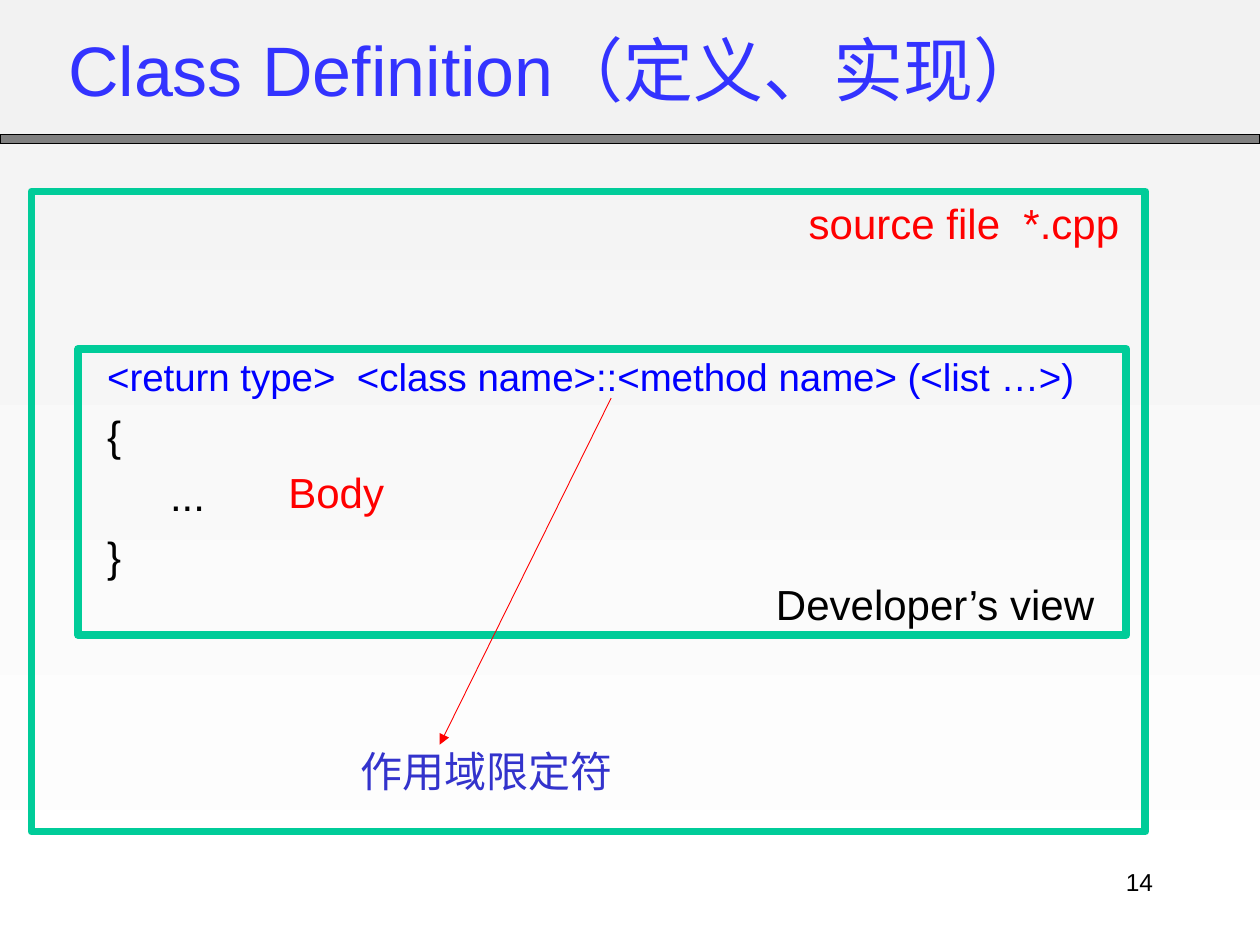
from pptx import Presentation
from pptx.dml.color import RGBColor
from pptx.enum.dml import MSO_LINE
from pptx.enum.shapes import MSO_CONNECTOR, MSO_SHAPE
from pptx.enum.text import MSO_ANCHOR, MSO_AUTO_SIZE, PP_ALIGN
from pptx.oxml.ns import qn
from pptx.util import Inches, Pt
from lxml.etree import SubElement

FONT = "Arial"
COLORS = {
    "top": "F2F2F2",
    "bottom": "FFFFFF",
    "bar": "808080",
    "black": "000000",
    "title": "3333FF",
    "blue": "0000FF",
    "red": "FF0000",
    "frame": "00CC99",
    "note": "3333CC",
}


def color(name):
    return RGBColor.from_string(COLORS[name])


def place(shape, left, top, width, height):
    shape.left, shape.top = Inches(left), Inches(top)
    shape.width, shape.height = Inches(width), Inches(height)


def write(para, text, size=24, tone="black", align=PP_ALIGN.LEFT, before=0):
    para.alignment = align
    para.space_before = Pt(before)
    span = para.add_run()
    span.text = text
    span.font.name = FONT
    span.font.size = Pt(size)
    span.font.color.rgb = color(tone)


def prepare(frame, anchor=MSO_ANCHOR.TOP):
    frame.word_wrap = True
    frame.auto_size = MSO_AUTO_SIZE.NONE
    frame.vertical_anchor = anchor


def paint_background(page):
    fill = page.background.fill
    fill.gradient()
    fill.gradient_angle = 270
    for stop, name, position in zip(fill.gradient_stops, ("top", "bottom"), (0, 1)):
        stop.color.rgb = color(name)
        stop.position = position


def add_label(page, text, area, **style):
    box = page.shapes.add_textbox(*map(Inches, area))
    prepare(box.text_frame)
    write(box.text_frame.paragraphs[0], text, **style)


def add_rectangle(page, area, line, weight, fill=None):
    shape = page.shapes.add_shape(MSO_SHAPE.RECTANGLE, *map(Inches, area))
    shape.shadow.inherit = False
    if fill:
        shape.fill.solid()
        shape.fill.fore_color.rgb = color(fill)
    else:
        shape.fill.background()
    shape.line.color.rgb = color(line)
    shape.line.width = Pt(weight)


def add_arrow(page, start, end, tone, weight):
    arrow = page.shapes.add_connector(
        MSO_CONNECTOR.STRAIGHT, *map(Inches, start + end))
    arrow.line.color.rgb = color(tone)
    arrow.line.width = Pt(weight)
    arrow.line.dash_style = MSO_LINE.SOLID
    SubElement(arrow.line._get_or_add_ln(), qn("a:tailEnd"), type="triangle")
    SubElement(arrow._element.spPr, qn("a:effectLst"))


def fill_title(page, text):
    title = page.shapes.title
    place(title, 0.44, 0.1, 8.5, 0.89)
    prepare(title.text_frame, MSO_ANCHOR.MIDDLE)
    write(title.text_frame.paragraphs[0], text, size=40, tone="title")


def fill_code(page, lines):
    body = page.placeholders[1]
    place(body, 0.75, 2.75, 8.5, 4.05)
    frame = body.text_frame
    prepare(frame)
    for index, (text, style) in enumerate(lines):
        para = frame.add_paragraph() if index else frame.paragraphs[0]
        properties = para._p.get_or_add_pPr()
        properties.set("marL", "0")
        properties.set("indent", "0")
        SubElement(properties, qn("a:buNone"))
        tabs = SubElement(properties, qn("a:tabLst"))
        SubElement(tabs, qn("a:tab"), pos=str(Inches(1)), algn="l")
        write(para, text, before=5.8 if index else 0, **style)


def main():
    deck = Presentation()
    deck.slide_width, deck.slide_height = Inches(10), Inches(7.5)
    page = deck.slides.add_slide(deck.slide_layouts[1])
    paint_background(page)
    add_rectangle(page, (0, 1.07, 10, 0.07), "black", 0.75, fill="bar")
    fill_title(page, "Class Definition（定义、实现）")
    fill_code(page, [
        ("<return type>  <class name>::<method name> (<list …>)",
         {"size": 22, "tone": "blue"}),
        ("{", {}),
        ("\t...", {}),
        ("}", {}),
    ])
    add_label(page, "14", (7.17, 6.83, 2.08, 0.5), size=14, align=PP_ALIGN.RIGHT)
    add_rectangle(page, (0.25, 1.52, 8.84, 5.08), "frame", 4.5)
    add_label(page, "source file  *.cpp", (6.32, 1.52, 3.69, 0.51), tone="red")
    add_rectangle(page, (0.62, 2.77, 8.32, 2.27), "frame", 4.5)
    add_label(page, "Developer’s view", (6.06, 4.54, 3.69, 0.51))
    add_label(page, "Body", (2.19, 3.65, 3.15, 0.5), tone="red")
    add_arrow(page, (4.85, 3.16), (3.49, 5.91), "red", 0.5)
    add_label(page, "作用域限定符", (2.76, 5.87, 3.49, 0.51), tone="note")
    deck.save("out.pptx")


if __name__ == "__main__":
    main()
